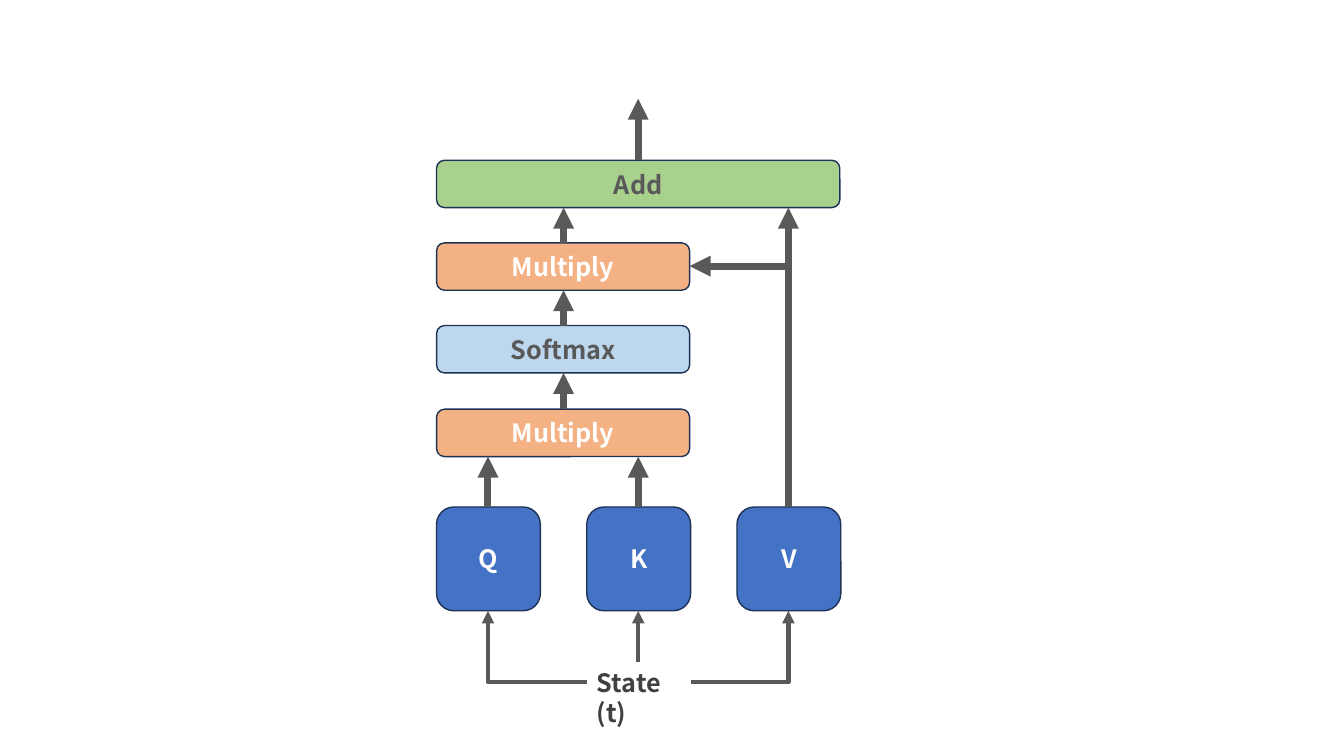
from lxml import etree
from pptx import Presentation
from pptx import util as u
from pptx.dml.color import RGBColor
from pptx.enum import shapes, text
from pptx.oxml import ns

PX = 9144
FONT = "Noto Sans CJK SC"
WHITE = RGBColor(0xFF, 0xFF, 0xFF)
BLUE = RGBColor(0x44, 0x72, 0xC4)
ORANGE = RGBColor(0xF4, 0xB1, 0x83)
PALE_BLUE = RGBColor(0xBD, 0xD7, 0xEE)
GREEN = RGBColor(0xA9, 0xD1, 0x8E)
OUTLINE = RGBColor(0x1E, 0x32, 0x56)
GREY = RGBColor(0x59, 0x59, 0x59)
DARK_GREY = RGBColor(0x40, 0x40, 0x40)

LEFT, COLUMN_STEP, SQUARE = 433, 149, 103
LAYER_WIDTH, LAYER_HEIGHT = 251, 47
ADD_TOP, ADD_WIDTH = 159, 400
SQUARE_TOP = 503
SQUARE_BOTTOM = SQUARE_TOP + SQUARE
STATE_TOP, STATE_MIDDLE = 657, 677
THICK, THIN = 5, 3


def px(*lengths):
    return [u.Emu(length * PX) for length in lengths]


def write(shape, words, colour):
    para = shape.text_frame.paragraphs[0]
    para.text = words
    para.font.name = FONT
    para.font.size = u.Pt(18)
    para.font.bold = True
    para.font.color.rgb = colour
    return para


def add_block(page, words, left, top, width, height, fill, colour=WHITE):
    box = page.shapes.add_shape(
        shapes.MSO_SHAPE.ROUNDED_RECTANGLE, *px(left, top, width, height))
    box.shadow.inherit = False
    box.fill.solid()
    box.fill.fore_color.rgb = fill
    box.line.color.rgb = OUTLINE
    box.line.width = u.Pt(1)
    box.text_frame.vertical_anchor = text.MSO_ANCHOR.MIDDLE
    write(box, words, colour).alignment = text.PP_ALIGN.CENTER


def add_label(page, words, left, top, width, height):
    box = page.shapes.add_textbox(*px(left, top, width, height))
    box.text_frame.word_wrap = True
    box.text_frame.auto_size = text.MSO_AUTO_SIZE.SHAPE_TO_FIT_TEXT
    write(box, words, DARK_GREY)


def add_arrow(page, start, end, weight, bent=False, tip="tailEnd"):
    kind = shapes.MSO_CONNECTOR.ELBOW if bent else shapes.MSO_CONNECTOR.STRAIGHT
    arrow = page.shapes.add_connector(kind, *px(*start, *end))
    arrow.line.color.rgb = GREY
    arrow.line.width = u.Pt(weight)
    properties = arrow._element.spPr
    if bent:
        properties.find(ns.qn("a:prstGeom")).set("prst", "bentConnector2")
    line = properties.find(ns.qn("a:ln"))
    etree.SubElement(line, ns.qn(f"a:{tip}"), type="triangle")
    etree.SubElement(properties, ns.qn("a:effectLst"))


def main():
    deck = Presentation()
    deck.slide_width, deck.slide_height = px(1333, 750)
    page = deck.slides.add_slide(deck.slide_layouts[6])

    columns = [LEFT + COLUMN_STEP * index for index in range(3)]
    centres = [left + SQUARE // 2 for left in columns]
    query, key, value = centres
    for words, left in zip("QKV", columns):
        add_block(page, words, left, SQUARE_TOP, SQUARE, SQUARE, BLUE)

    layers = [
        ("Multiply", 406, ORANGE, WHITE),
        ("Softmax", 323, PALE_BLUE, GREY),
        ("Multiply", 241, ORANGE, WHITE),
    ]
    for words, top, fill, colour in layers:
        add_block(page, words, LEFT, top, LAYER_WIDTH, LAYER_HEIGHT, fill, colour)
    add_block(page, "Add", LEFT, ADD_TOP, ADD_WIDTH, LAYER_HEIGHT, GREEN, GREY)

    tops = [layer[1] for layer in layers]
    add_bottom = ADD_TOP + LAYER_HEIGHT
    for centre in (query, key):
        add_arrow(page, (centre, SQUARE_TOP), (centre, tops[0] + LAYER_HEIGHT), THICK)
    middle = LEFT + LAYER_WIDTH // 2 + 1
    for lower, upper in zip(tops, tops[1:] + [ADD_TOP]):
        add_arrow(page, (middle, lower), (middle, upper + LAYER_HEIGHT), THICK)

    layer_right = LEFT + LAYER_WIDTH
    branch = tops[-1] + LAYER_HEIGHT // 2
    add_arrow(page, (layer_right, branch), (value, SQUARE_TOP), THICK, True, "headEnd")
    add_arrow(page, (value, SQUARE_TOP), (value, add_bottom), THICK)

    state_left, state_right = columns[1], columns[1] + SQUARE
    add_label(page, "State (t)", state_left, STATE_TOP, SQUARE, 40)
    add_arrow(page, (key, STATE_TOP), (key, SQUARE_BOTTOM), THIN)
    for side, centre in ((state_right, value), (state_left, query)):
        add_arrow(page, (side, STATE_MIDDLE), (centre, SQUARE_BOTTOM), THIN, True)
    add_arrow(page, (key, ADD_TOP), (key, 98), THICK)

    deck.save("out.pptx")


if __name__ == "__main__":
    main()
